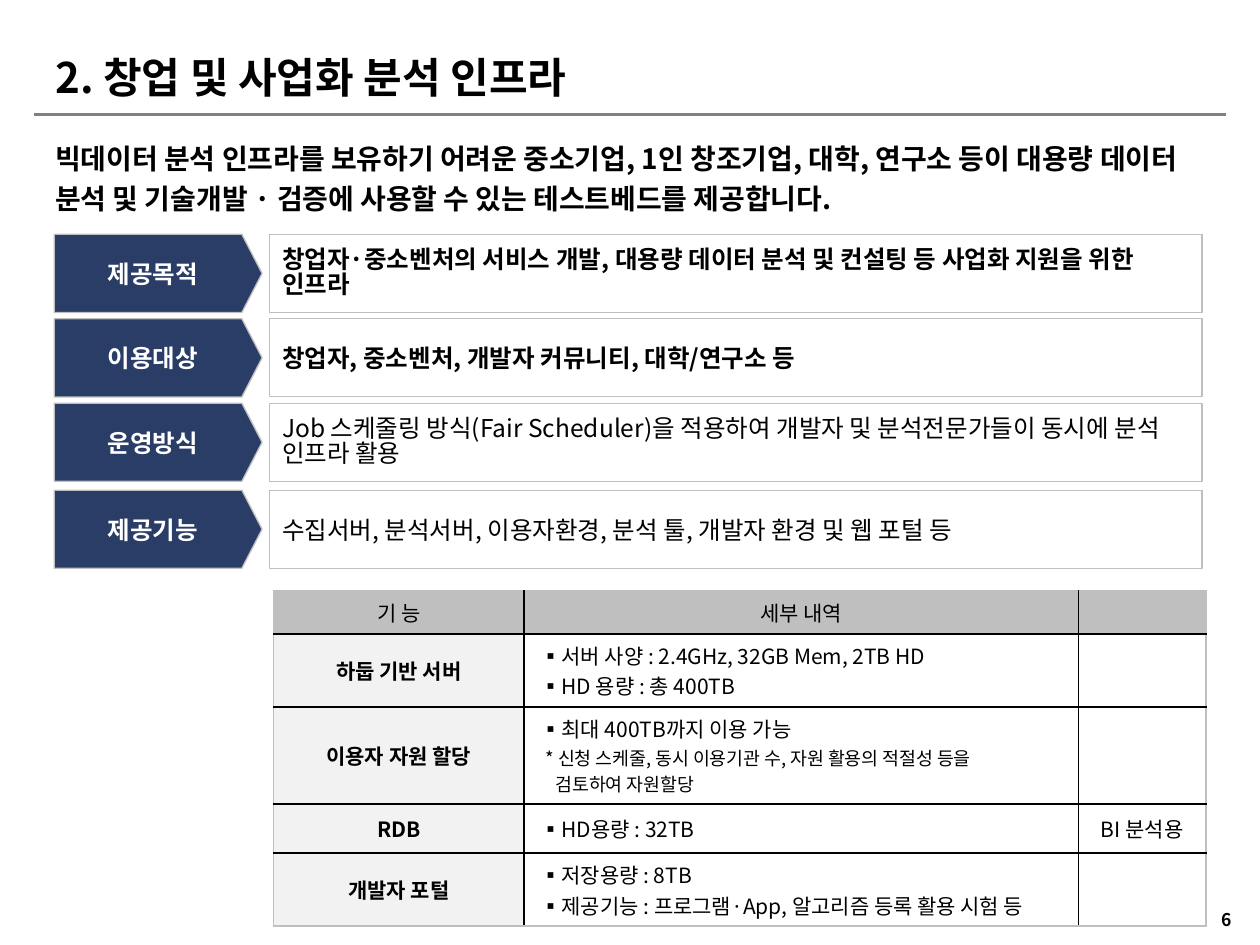
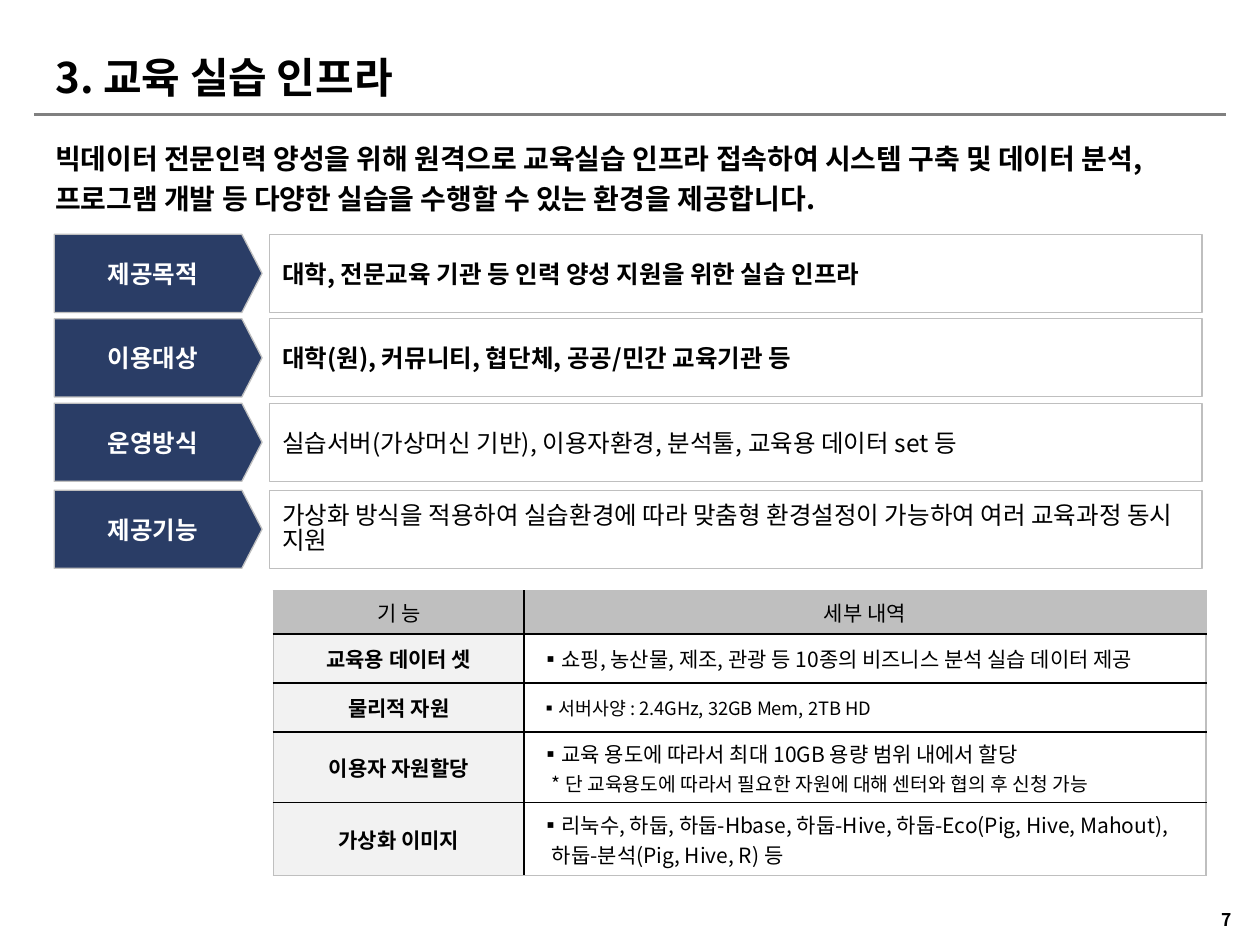
from dataclasses import dataclass

from lxml.etree import SubElement
from pptx import Presentation
from pptx.dml.color import RGBColor
from pptx.enum.shapes import MSO_CONNECTOR, MSO_SHAPE
from pptx.enum.text import MSO_ANCHOR, PP_ALIGN
from pptx.oxml.ns import qn
from pptx.util import Inches, Pt


@dataclass(frozen=True)
class Theme:
    font: str = "Noto Sans CJK KR"
    black: str = "000000"
    white: str = "FFFFFF"
    navy: str = "2A3D66"
    rule: str = "808080"
    gray: str = "BFBFBF"
    pale: str = "F2F2F2"
    title: float = 24
    lead: float = 16
    label: float = 14
    table: float = 12
    remark: float = 11
    note: float = 10.5
    page: float = 10


@dataclass(frozen=True)
class Detail:
    text: str
    size: float = Theme.table
    bullet: bool = True
    indent: float = 0.1
    hanging: float = 0.1


THEME = Theme()
LABELS = ["제공목적", "이용대상", "운영방식", "제공기능"]
LABEL_TOPS = [1.86, 2.53, 3.2, 3.89]
BOLD_ROWS = 2
TWO_LINE_LENGTH = 45
TABLE_LEFT, TABLE_TOP = 2.17, 4.69

STARTUP = {
    "page": 6,
    "title": "2. 창업 및 사업화 분석 인프라",
    "lead": "빅데이터 분석 인프라를 보유하기 어려운 중소기업, 1인 창조기업, 대학, 연구소 등이 대용량 "
            "데이터 분석 및 기술개발 · 검증에 사용할 수 있는 테스트베드를 제공합니다.",
    "descriptions": [
        "창업자·중소벤처의 서비스 개발, 대용량 데이터 분석 및 컨설팅 등 사업화 지원을 위한 인프라",
        "창업자, 중소벤처, 개발자 커뮤니티, 대학/연구소 등",
        "Job 스케줄링 방식(Fair Scheduler)을 적용하여 개발자 및 분석전문가들이 동시에 분석 인프라 활용",
        "수집서버, 분석서버, 이용자환경, 분석 툴, 개발자 환경 및 웹 포털 등",
    ],
    "columns": [1.99, 4.4, 1.01],
    "heights": [0.34, 0.58, 0.77, 0.39, 0.58],
    "header": ["기 능", "세부 내역", ""],
    "rows": [
        ("하둡 기반 서버", [Detail("서버 사양 : 2.4GHz, 32GB Mem, 2TB HD"),
                      Detail("HD 용량 : 총 400TB")], ""),
        ("이용자 자원 할당", [
            Detail("최대 400TB까지 이용 가능"),
            Detail("* 신청 스케줄, 동시 이용기관 수, 자원 활용의 적절성 등을",
                   THEME.note, False, 0.04, 0),
            Detail("검토하여 자원할당", THEME.note, False, 0.12, 0)], ""),
        ("RDB", [Detail("HD용량 : 32TB", indent=0.09, hanging=0.09)], "BI 분석용"),
        ("개발자 포털", [
            Detail("저장용량 : 8TB", indent=0.09, hanging=0.09),
            Detail("제공기능 : 프로그램·App, 알고리즘 등록 활용 시험 등",
                   indent=0.09, hanging=0.09)], ""),
    ],
}

EDUCATION = {
    "page": 7,
    "title": "3. 교육 실습 인프라",
    "lead": "빅데이터 전문인력 양성을 위해 원격으로 교육실습 인프라 접속하여 시스템 구축 및 데이터 분석, "
            "프로그램 개발 등 다양한 실습을 수행할 수 있는 환경을 제공합니다.",
    "descriptions": [
        "대학, 전문교육 기관 등 인력 양성 지원을 위한 실습 인프라",
        "대학(원), 커뮤니티, 협단체, 공공/민간 교육기관 등",
        "실습서버(가상머신 기반), 이용자환경, 분석툴, 교육용 데이터 set 등",
        "가상화 방식을 적용하여 실습환경에 따라 맞춤형 환경설정이 가능하여 여러 교육과정 동시 지원",
    ],
    "columns": [1.99, 5.41],
    "heights": [0.34, 0.39, 0.39, 0.56, 0.58],
    "header": ["기 능", "세부 내역"],
    "rows": [
        ("교육용 데이터 셋",
         [Detail("쇼핑, 농산물, 제조, 관광 등 10종의 비즈니스 분석 실습 데이터 제공")]),
        ("물리적 자원", [Detail("서버사양 : 2.4GHz, 32GB Mem, 2TB HD", THEME.note)]),
        ("이용자 자원할당", [
            Detail("교육 용도에 따라서 최대 10GB 용량 범위 내에서 할당\v"
                   "* 단 교육용도에 따라서 필요한 자원에 대해 센터와 협의 후 신청 가능",
                   indent=0.09, hanging=0.09)]),
        ("가상화 이미지", [
            Detail("리눅수, 하둡, 하둡-Hbase, 하둡-Hive, 하둡-Eco(Pig, Hive, Mahout), "
                   "하둡-분석(Pig, Hive, R) 등", indent=0.09, hanging=0.09)]),
    ],
}


def color(value):
    return RGBColor.from_string(value)


def write(paragraph, text, size, bold=False, ink=THEME.black, align=PP_ALIGN.LEFT):
    paragraph.text = text
    paragraph.alignment = align
    for run in paragraph.runs:
        run.font.size = Pt(size)
        run.font.bold = bold
        run.font.name = THEME.font
        run.font.color.rgb = color(ink)
        SubElement(run.font._element, qn("a:ea"), typeface=THEME.font)
    if not text:
        SubElement(paragraph._p, qn("a:endParaRPr"), sz=str(int(size * 100)))


def add_text(slide, box, text, size, wrap=True, align=PP_ALIGN.LEFT,
             anchor=MSO_ANCHOR.TOP):
    shape = slide.shapes.add_textbox(*map(Inches, box))
    frame = shape.text_frame
    frame.word_wrap = wrap
    frame.vertical_anchor = anchor
    write(frame.paragraphs[0], text, size, True, align=align)
    return frame.paragraphs[0]


def add_rule(slide):
    connector = slide.shapes.add_connector(
        MSO_CONNECTOR.STRAIGHT, Inches(0.27), Inches(0.91), Inches(9.73), Inches(0.91))
    connector.line.color.rgb = color(THEME.rule)
    connector.line.width = Pt(1.5)
    SubElement(connector._element.spPr, qn("a:effectLst"))


def add_panel(slide, kind, box, text, fill=None, **style):
    shape = slide.shapes.add_shape(kind, *map(Inches, box))
    shape.shadow.inherit = False
    if fill:
        shape.fill.solid()
        shape.fill.fore_color.rgb = color(fill)
    else:
        shape.fill.background()
    shape.line.color.rgb = color(THEME.gray)
    shape.line.width = Pt(0.75)
    shape.text_frame.word_wrap = True
    shape.text_frame.vertical_anchor = MSO_ANCHOR.MIDDLE
    write(shape.text_frame.paragraphs[0], text, THEME.label, **style)
    return shape


def add_description_row(slide, index, description):
    top = LABEL_TOPS[index]
    arrow = add_panel(slide, MSO_SHAPE.PENTAGON, (0.43, top, 1.65, 0.62), LABELS[index],
                      THEME.navy, bold=True, ink=THEME.white, align=PP_ALIGN.CENTER)
    arrow.adjustments[0] = 0.259
    panel = add_panel(slide, MSO_SHAPE.RECTANGLE, (2.14, top, 7.4, 0.62), description,
                      bold=index < BOLD_ROWS)
    if len(description) > TWO_LINE_LENGTH:
        panel.text_frame.paragraphs[0].line_spacing = 0.85


def set_borders(cell, edges):
    properties = cell._tc.get_or_add_tcPr()
    for side in "LRTB":
        line = SubElement(properties, qn(f"a:ln{side}"), w=str(Pt(1)))
        fill = SubElement(line, qn("a:solidFill"))
        ink = THEME.gray if side in edges else THEME.black
        SubElement(fill, qn("a:srgbClr"), val=ink)


def format_cell(cell, fill, edges):
    set_borders(cell, edges)
    cell.vertical_anchor = MSO_ANCHOR.MIDDLE
    cell.margin_left = cell.margin_right = Inches(0.13)
    cell.margin_top = cell.margin_bottom = Inches(0.05)
    if fill:
        cell.fill.solid()
        cell.fill.fore_color.rgb = color(fill)
    else:
        cell.fill.background()


def write_details(frame, details):
    for index, detail in enumerate(details):
        paragraph = frame.add_paragraph() if index else frame.paragraphs[0]
        properties = paragraph._p.get_or_add_pPr()
        properties.set("marL", str(Inches(detail.indent)))
        properties.set("indent", str(-Inches(detail.hanging)))
        if detail.bullet:
            SubElement(properties, qn("a:buFont"), typeface=THEME.font)
            SubElement(properties, qn("a:buChar"), char="▪")
        else:
            SubElement(properties, qn("a:buNone"))
        write(paragraph, detail.text, detail.size)
        for run in paragraph.runs[1:]:
            run.font.size = Pt(THEME.remark)


def add_feature_table(slide, content):
    columns, heights = content["columns"], content["heights"]
    table = slide.shapes.add_table(
        len(heights), len(columns), Inches(TABLE_LEFT), Inches(TABLE_TOP),
        Inches(sum(columns)), Inches(sum(heights))).table
    table.first_row = table.horz_banding = False
    for column, width in zip(table.columns, columns):
        column.width = Inches(width)
    for row, height in zip(table.rows, heights):
        row.height = Inches(height)
    last_row, last_column = len(heights) - 1, len(columns) - 1
    for r, values in enumerate([content["header"], *content["rows"]]):
        for c, value in enumerate(values):
            cell = table.cell(r, c)
            outer = {"T": r == 0, "B": r == last_row, "L": c == 0, "R": c == last_column}
            fill = THEME.gray if r == 0 else THEME.pale if c == 0 else None
            format_cell(cell, fill, [side for side in outer if outer[side]])
            if isinstance(value, list):
                write_details(cell.text_frame, value)
            else:
                write(cell.text_frame.paragraphs[0], value, THEME.table,
                      bold=r > 0 and c == 0, align=PP_ALIGN.CENTER)


def add_infrastructure_slide(presentation, content):
    slide = presentation.slides.add_slide(presentation.slide_layouts[6])
    add_text(slide, (9.54, 7.1, 0.39, 0.39), str(content["page"]), THEME.page,
             align=PP_ALIGN.CENTER, anchor=MSO_ANCHOR.MIDDLE)
    add_rule(slide)
    add_text(slide, (0.34, 0.36, 6.09, 0.52), content["title"], THEME.title, wrap=False)
    lead = add_text(slide, (0.34, 1.02, 9.35, 0.72), content["lead"], THEME.lead)
    lead.line_spacing = 1.2
    for index, description in enumerate(content["descriptions"]):
        add_description_row(slide, index, description)
    add_feature_table(slide, content)


def main():
    presentation = Presentation()
    presentation.slide_width = Inches(10)
    presentation.slide_height = Inches(7.5)
    for content in (STARTUP, EDUCATION):
        add_infrastructure_slide(presentation, content)
    presentation.save("out.pptx")


if __name__ == "__main__":
    main()
